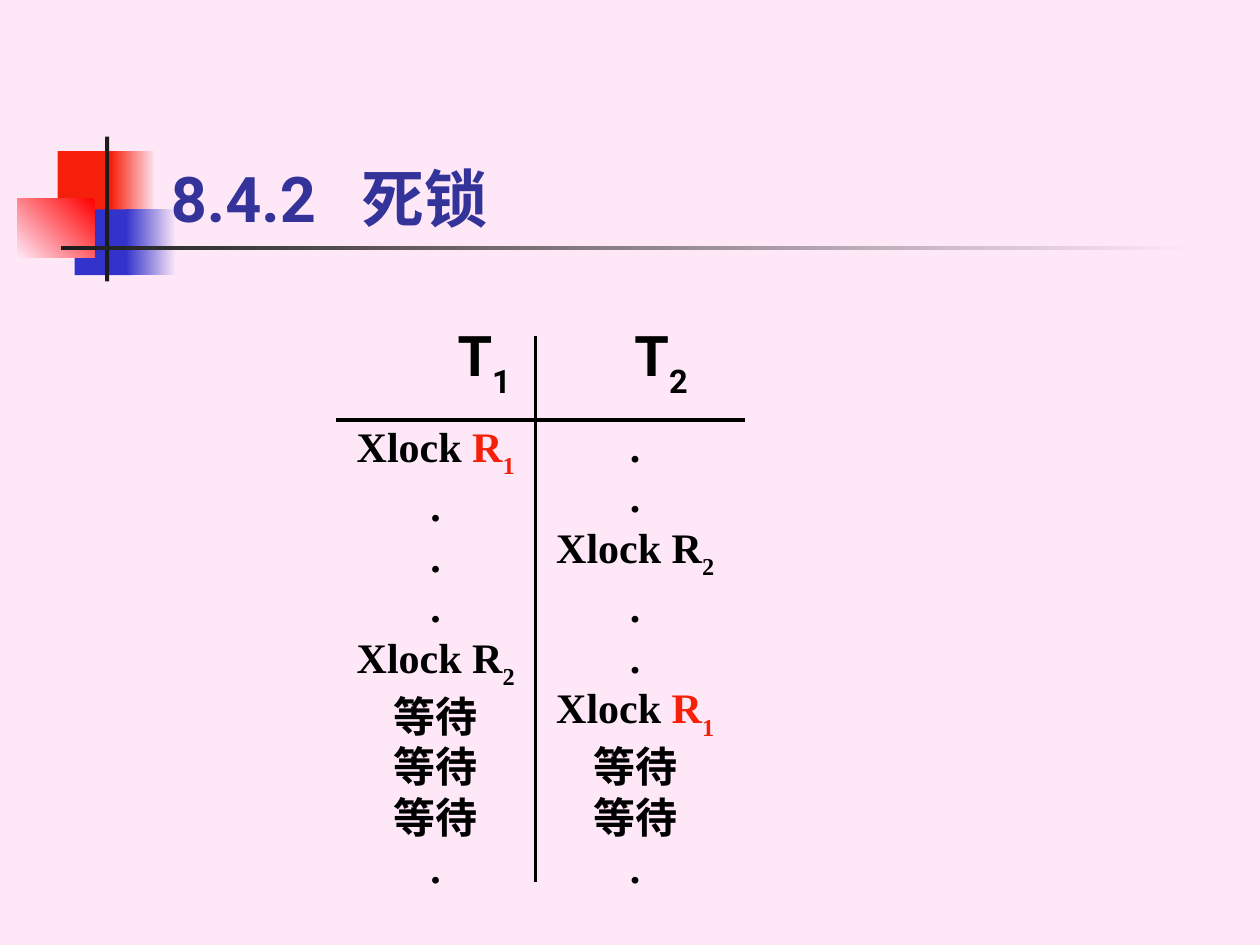
"""Build the slide on deadlock: two transactions waiting for each other's lock."""
from lxml import etree
from pptx import Presentation
from pptx.dml.color import RGBColor
from pptx.enum.shapes import MSO_CONNECTOR, MSO_SHAPE
from pptx.enum.text import MSO_ANCHOR, PP_ALIGN
from pptx.oxml.ns import qn
from pptx.util import Inches, Pt

COLOURS = {
    "back": "FEE8F7",
    "red": "F6200A",
    "bright": "FF0000",
    "blue": "3333CC",
    "title": "333399",
    "dark": "1C1C1C",
    "black": "000000",
}
CELL = Inches(1) / 12
COLUMNS, ROWS = 120, 90

deck = Presentation()
deck.slide_width = int(COLUMNS * CELL)
deck.slide_height = int(ROWS * CELL)
slide = deck.slides.add_slide(deck.slide_layouts[6])
slide.background.fill.solid()
slide.background.fill.fore_color.rgb = RGBColor.from_string(COLOURS["back"])


def cells(*counts):
    return [int(count * CELL) for count in counts]


def add_text(place, lines, font, size, colour="black", anchor=MSO_ANCHOR.TOP,
             align=PP_ALIGN.LEFT, wrap=True, top_inset=0.6, stops=()):
    frame = slide.shapes.add_textbox(*cells(*place)).text_frame
    frame.word_wrap = wrap
    frame.vertical_anchor = anchor
    frame.margin_top = int(top_inset * CELL)
    for index, line in enumerate(lines):
        paragraph = frame.add_paragraph() if index else frame.paragraphs[0]
        paragraph.alignment = align
        if stops:
            tab_list = etree.SubElement(paragraph._p.get_or_add_pPr(), qn("a:tabLst"))
            for stop in stops:
                etree.SubElement(tab_list, qn("a:tab"), pos=str(int(stop * CELL)), algn="l")
        for words, run_colour, lowered in line:
            run = paragraph.add_run()
            run.text = words
            run.font.name = font
            run.font.size = Pt(size)
            run.font.bold = True
            run.font.color.rgb = RGBColor.from_string(COLOURS[run_colour or colour])
            if lowered:
                run._r.get_or_add_rPr().set("baseline", "-30000")


ornaments = [
    ((5.5, 14.4, 5.75, 6.25), ["red"], 0),
    ((10.55, 14.4, 4.3, 6.25), ["back", "red"], 180),
    ((7.1, 19.95, 5.5, 6.25), ["blue"], 0),
    ((12, 19.95, 4.8, 6.25), ["back", "blue"], 180),
    ((1.65, 18.95, 7.35, 5.55), ["bright", "back"], 225),
    ((10, 13, 0.4, 13.8), ["dark"], 0),
    ((5.8, 23.4, 108, 0.4), ["back", "dark"], 180),
]
for place, tones, angle in ornaments:
    ornament = slide.shapes.add_shape(MSO_SHAPE.RECTANGLE, *cells(*place))
    ornament.shadow.inherit = False
    ornament.line.fill.background()
    if len(tones) == 1:
        ornament.fill.solid()
        ornament.fill.fore_color.rgb = RGBColor.from_string(COLOURS[tones[0]])
    else:
        ornament.fill.gradient()
        ornament.fill.gradient_angle = angle
        for gradient_stop, tone, position in zip(ornament.fill.gradient_stops, tones, (0, 1)):
            gradient_stop.color.rgb = RGBColor.from_string(COLOURS[tone])
            gradient_stop.position = position

add_text((15.1, 8, 102.2, 15), [[("8.4.2\t死锁", None, False)]], font="Roboto", size=36,
         colour="title", anchor=MSO_ANCHOR.BOTTOM, stops=[18.2])

headings = [("\tT", None, False), ("1", None, True), ("\tT", None, False), ("2", None, True)]
add_text((14, 21, 102, 54), [headings], font="Roboto", size=32, top_inset=9.5,
         stops=[28.4, 45.25])

for ends in [(32, 40, 71, 40), (51, 32, 51, 84)]:
    rule = slide.shapes.add_connector(MSO_CONNECTOR.STRAIGHT, *cells(*ends))
    rule.line.width = Pt(2.25)
    rule.line.color.rgb = RGBColor.from_string(COLOURS["black"])
    etree.SubElement(rule._element.spPr, qn("a:effectLst"))

lock_first = [("Xlock ", None, False), ("R", "red", False), ("1", "red", True)]
lock_second = [("Xlock R", None, False), ("2", None, True)]
dot = [(".", None, False)]
wait = [("等待", None, False)]
schedules = [
    [lock_first, dot, dot, dot, lock_second, wait, wait, wait, dot],
    [dot, dot, lock_second, dot, dot, lock_first, wait, wait, dot],
]
for transaction, steps in enumerate(schedules):
    add_text((32 + 19 * transaction, 41, 19, 43), steps, font="Times New Roman", size=24,
             anchor=MSO_ANCHOR.MIDDLE, align=PP_ALIGN.CENTER, wrap=False)

deck.save("out.pptx")
